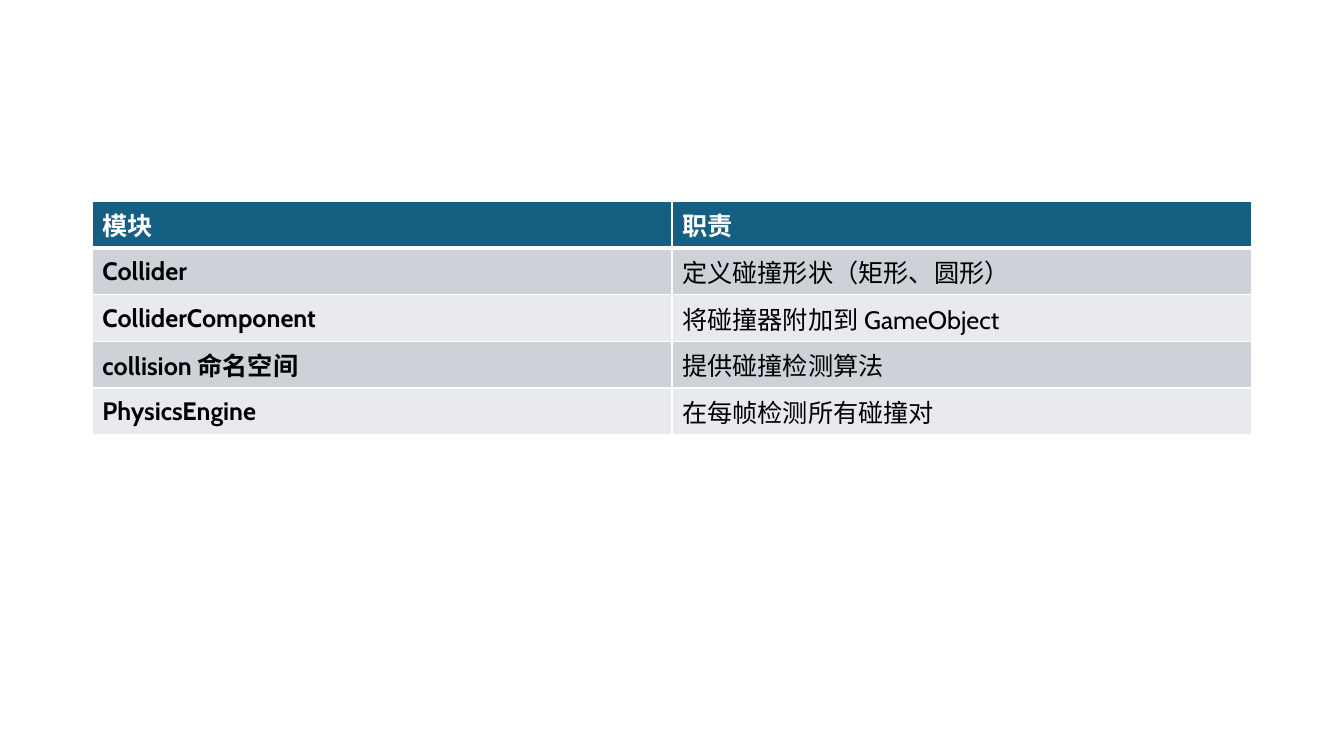
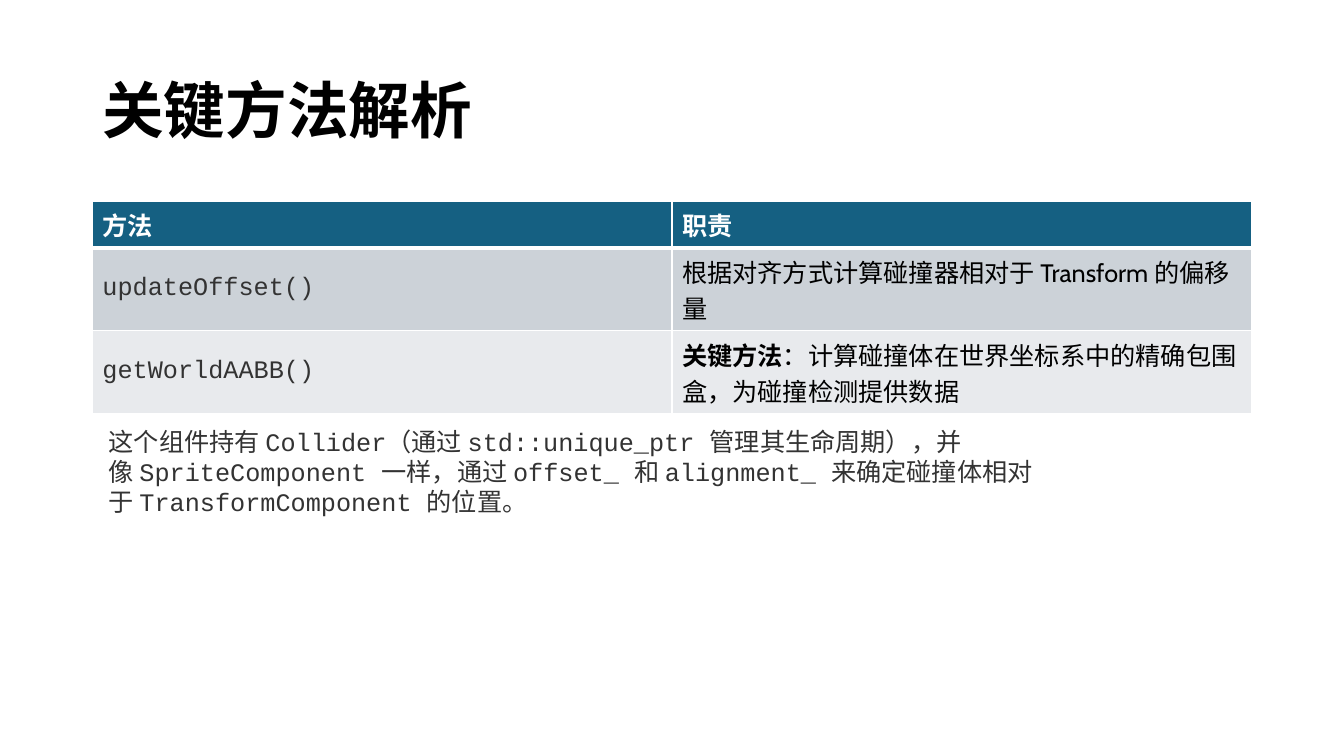
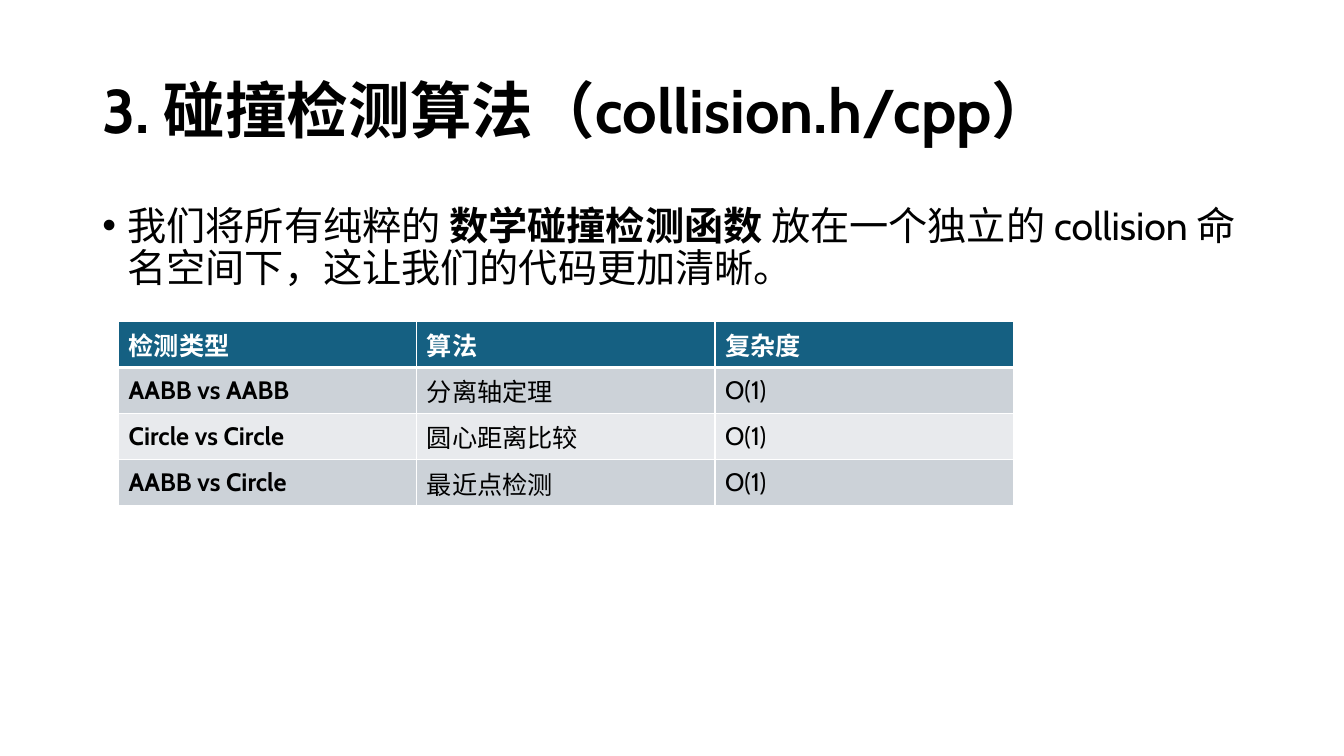
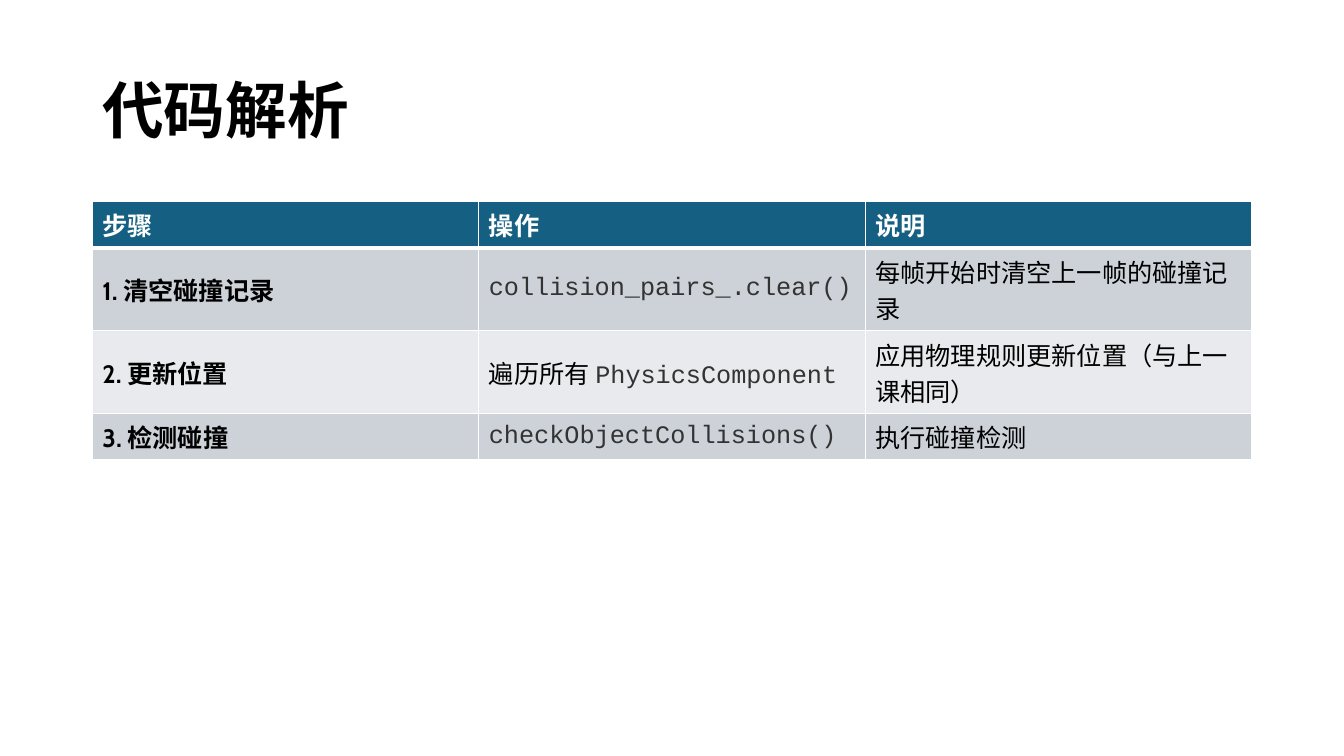
"""Build four slides on collision detection modules, methods and algorithms."""
from lxml.etree import SubElement
from pptx import Presentation
from pptx.dml.color import RGBColor as RGB
from pptx.enum.lang import MSO_LANGUAGE_ID as LANG
from pptx.enum.text import MSO_ANCHOR as ANCHOR, MSO_AUTO_SIZE as AUTO
from pptx.oxml.ns import qn
from pptx.util import Pt

PX = 9525
BLACK = RGB(0x00, 0x00, 0x00)
WHITE = RGB(0xFF, 0xFF, 0xFF)
GRAY = RGB(0x33, 0x33, 0x33)
HEADER = RGB(0x15, 0x60, 0x82)
BANDS = [RGB(0xE8, 0xEA, 0xED), RGB(0xCC, 0xD2, 0xD8)]

TITLE = ("Cabin", 44, BLACK, True)
BODY = ("Cabin", 28, BLACK, False)
BODY_BOLD = ("Cabin", 28, BLACK, True)
HEAD = ("Cabin", 18, WHITE, True)
BOLD = ("Cabin", 18, BLACK, True)
TEXT = ("Cabin", 18, BLACK, False)
CODE = ("Courier New", 18, GRAY, False)
NOTE = ("Arial", 18, GRAY, False)

LEFT, WIDTH, TOP = 88, 1104, 192
ONE_LINE, TWO_LINES = 44, 79
HARD_SPACE = chr(160)

SLIDES = [
    {
        "table": (LEFT, TOP, WIDTH),
        "heights": [ONE_LINE] * 5,
        "rows": [
            ["模块", "职责"],
            ["Collider", "定义碰撞形状（矩形、圆形）"],
            ["ColliderComponent", "将碰撞器附加到 GameObject"],
            ["collision 命名空间", "提供碰撞检测算法"],
            ["PhysicsEngine", "在每帧检测所有碰撞对"],
        ],
    },
    {
        "title": "关键方法解析",
        "table": (LEFT, TOP, WIDTH),
        "heights": [ONE_LINE, TWO_LINES, TWO_LINES],
        "rows": [
            ["方法", "职责"],
            [[("updateOffset()", CODE)], "根据对齐方式计算碰撞器相对于 Transform 的偏移量"],
            [[("getWorldAABB()", CODE)],
             [("关键方法", BOLD),
              ("：计算碰撞体在世界坐标系中的精确包围盒，为碰撞检测提供数据", TEXT)]],
        ],
        "note": [
            ("这个组件持有~", NOTE), ("Collider", CODE),
            ("（通过~", NOTE), ("std::unique_ptr~", CODE),
            ("管理其生命周期），并像~", NOTE), ("SpriteComponent~", CODE),
            ("一样，通过~", NOTE), ("offset_~", CODE),
            ("和~", NOTE), ("alignment_~", CODE),
            ("来确定碰撞体相对于~", NOTE), ("TransformComponent~", CODE),
            ("的位置。", NOTE),
        ],
    },
    {
        "title": "3. 碰撞检测算法（collision.h/cpp）",
        "body": [
            ("我们将所有纯粹的~", BODY),
            ("数学碰撞检测函数", BODY_BOLD),
            ("~放在一个独立的~collision~命名空间下，这让我们的代码更加清晰。", BODY),
        ],
        "table": (113, 306, 852),
        "heights": [ONE_LINE] * 4,
        "rows": [
            ["检测类型", "算法", "复杂度"],
            ["AABB vs AABB", "分离轴定理", "O(1)"],
            ["Circle vs Circle", "圆心距离比较", "O(1)"],
            ["AABB vs Circle", "最近点检测", "O(1)"],
        ],
    },
    {
        "title": "代码解析",
        "table": (LEFT, TOP, WIDTH),
        "heights": [ONE_LINE, TWO_LINES, TWO_LINES, ONE_LINE],
        "rows": [
            ["步骤", "操作", "说明"],
            ["1. 清空碰撞记录", [("collision_pairs_.clear()", CODE)],
             "每帧开始时清空上一帧的碰撞记录"],
            ["2. 更新位置", [("遍历所有~", TEXT), ("PhysicsComponent", CODE)],
             "应用物理规则更新位置（与上一课相同）"],
            ["3. 检测碰撞", [("checkObjectCollisions()", CODE)], "执行碰撞检测"],
        ],
    },
]


def add_runs(p, runs):
    for text, (name, size, color, bold) in runs:
        r = p.add_run()
        r.text = text.replace("~", HARD_SPACE)
        r.font.name = name
        r.font.size = Pt(size)
        r.font.color.rgb = color
        r.font.bold = bold
        r.font.language_id = LANG.SIMPLIFIED_CHINESE


def add_text(s, box, runs, anchor=ANCHOR.TOP, spacing=None):
    tf = s.shapes.add_textbox(*[v * PX for v in box]).text_frame
    tf.word_wrap = True
    tf.vertical_anchor = anchor
    p = tf.paragraphs[0]
    p.line_spacing = spacing
    add_runs(p, runs)
    return tf


prs = Presentation()
prs.slide_width, prs.slide_height = 1280 * PX, 720 * PX

for slide in SLIDES:
    s = prs.slides.add_slide(prs.slide_layouts[6])
    if "title" in slide:
        add_text(s, (LEFT, 39, WIDTH, 139), [(slide["title"], TITLE)], ANCHOR.MIDDLE, 0.9)
    if "body" in slide:
        tf = add_text(s, (LEFT, TOP, WIDTH, 457), slide["body"], spacing=0.9)
        pPr = tf.paragraphs[0]._p.get_or_add_pPr()
        pPr.set("marL", str(24 * PX))
        pPr.set("indent", str(-24 * PX))
        SubElement(pPr, qn("a:buFont"), typeface="Arial")
        SubElement(pPr, qn("a:buChar"), char="•")

    rows, heights = slide["rows"], slide["heights"]
    left, top, width = slide["table"]
    tbl = s.shapes.add_table(len(rows), len(rows[0]), left * PX, top * PX,
                             width * PX, sum(heights) * PX).table
    tbl.horz_banding = False
    for i, (row, height) in enumerate(zip(rows, heights)):
        tbl.rows[i].height = height * PX
        for j, content in enumerate(row):
            cell = tbl.cell(i, j)
            cell.vertical_anchor = ANCHOR.MIDDLE
            style = HEAD if i == 0 else BOLD if j == 0 else TEXT
            runs = [(content, style)] if isinstance(content, str) else content
            add_runs(cell.text_frame.paragraphs[0], runs)
            tcPr = cell._tc.get_or_add_tcPr()
            for side in "LRTB":
                thick = (i, side) in [(0, "B"), (1, "T")]
                ln = SubElement(tcPr, qn(f"a:ln{side}"), w=str(Pt(3 if thick else 1)))
                fill = SubElement(ln, qn("a:solidFill"))
                SubElement(fill, qn("a:srgbClr"), val=str(WHITE))
            cell.fill.solid()
            cell.fill.fore_color.rgb = BANDS[i % 2] if i else HEADER

    if "note" in slide:
        tf = add_text(s, (94, 401, 983, 68), slide["note"])
        tf.auto_size = AUTO.SHAPE_TO_FIT_TEXT

prs.save("out.pptx")
